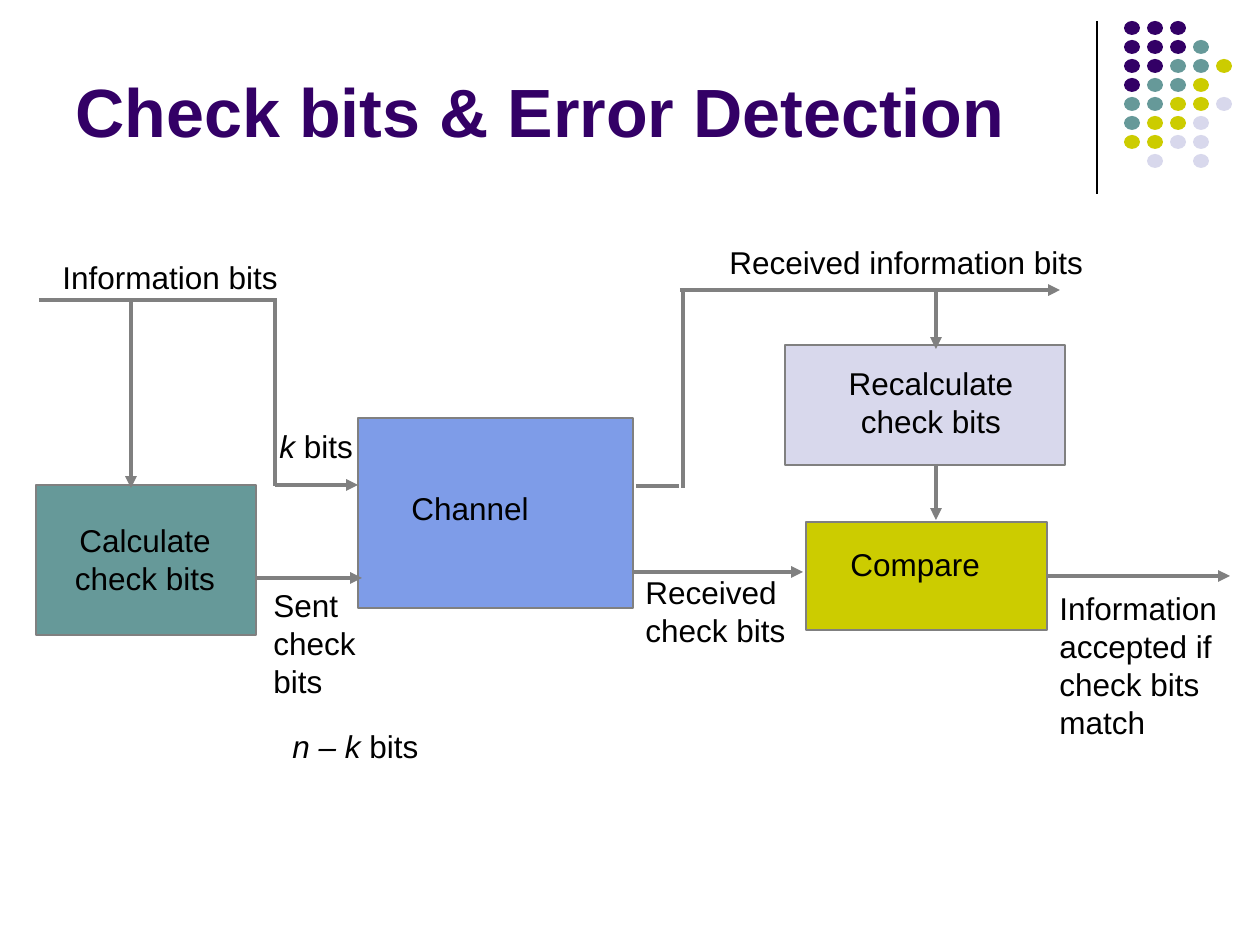
from dataclasses import dataclass
from typing import Any, NamedTuple, Optional

from pptx import Presentation, util as u
from pptx.dml.color import RGBColor
from pptx.enum import shapes, text
from pptx.oxml.ns import qn
from lxml import etree

EMU_PER_PX = 914400 / 126


@dataclass(frozen=True)
class Theme:
    font: str = "Arial"
    title_size: int = 39
    body_size: int = 18
    ink: str = "000000"
    purple: str = "330066"
    teal: str = "669999"
    olive: str = "CCCC00"
    lilac: str = "D8D8EC"
    blue: str = "7E9CE8"
    gray: str = "808080"


THEME = Theme()


class Box(NamedTuple):
    left: int
    top: int
    width: int
    height: int


@dataclass(frozen=True)
class Block:
    box: Box
    color: str


@dataclass(frozen=True)
class Label:
    box: Box
    paragraphs: tuple[str, ...]
    italic: str = ""  # leading run set in italics
    centered: bool = False
    wrap: bool = True


@dataclass(frozen=True)
class Wire:
    start: tuple[int, int]
    end: tuple[int, int]
    arrow: bool = False
    source: Optional[str] = None  # block whose right side the wire leaves


BLOCKS = {
    "calculate": Block(Box(36, 485, 220, 150), THEME.teal),
    "channel": Block(Box(358, 418, 275, 190), THEME.blue),
    "recalculate": Block(Box(785, 345, 280, 120), THEME.lilac),
    "compare": Block(Box(806, 522, 241, 108), THEME.olive),
}

LABELS = [
    Label(Box(34, 515, 222, 88), ("Calculate check bits",), centered=True),
    Label(Box(399, 483, 214, 50), ("Channel",)),
    Label(Box(814, 358, 234, 88), ("Recalculate check bits",), centered=True),
    Label(Box(838, 539, 188, 50), ("Compare",)),
    Label(Box(50, 252, 284, 50), ("Information bits",)),
    Label(Box(717, 237, 432, 50), ("Received information bits",)),
    Label(Box(261, 580, 127, 126), ("Sent check", "bits")),
    Label(Box(1047, 583, 233, 164), ("Information accepted if check bits match",)),
    Label(Box(633, 567, 197, 88), ("Received check bits",)),
    Label(Box(267, 421, 106, 50), (" bits",), italic="k", wrap=False),
    Label(Box(280, 721, 158, 50), (" bits",), italic="n – k", wrap=False),
]

WIRES = [
    Wire((39, 300), (277, 300)),
    Wire((131, 300), (131, 488), arrow=True),
    Wire((275, 300), (275, 486)),
    Wire((275, 485), (358, 485), arrow=True),
    Wire((256, 578), (362, 578), arrow=True),
    Wire((636, 486), (679, 486)),
    Wire((683, 488), (683, 290)),
    Wire((680, 290), (1060, 290), arrow=True),
    Wire((936, 291), (936, 349), arrow=True),
    Wire((936, 464), (936, 520), arrow=True),
    Wire((633, 572), (803, 572), arrow=True),
    Wire((1047, 576), (1230, 576), arrow=True, source="compare"),
]

DOT_ROWS = ["PPP", "PPPT", "PPTTO", "PTTO", "TTOOL", "TOOL", "OOLL", " L L"]
DOT_COLORS = {"P": THEME.purple, "T": THEME.teal, "O": THEME.olive, "L": THEME.lilac}
DOT_ORIGIN = (1124, 21)
DOT_PITCH = (23, 19)
DOT_SIZE = (16, 14)


def px(length: int) -> int:
    return round(length * EMU_PER_PX)


def rgb(color: str) -> RGBColor:
    return RGBColor.from_string(color)


def apply(target: Any, values: dict[str, Any]) -> None:
    for name, value in values.items():
        setattr(target, name, value)


def style_font(font: Any, size: int, color: str, **extra: Any) -> None:
    apply(font, {"name": THEME.font, "size": u.Pt(size), **extra})
    font.color.rgb = rgb(color)


def add_filled(slide: Any, kind: Any, box: Box, color: str, outline: Optional[str] = None) -> Any:
    shape = slide.shapes.add_shape(kind, *map(px, box))
    shape.shadow.inherit = False
    shape.fill.solid()
    shape.fill.fore_color.rgb = rgb(color)
    if outline:
        shape.line.color.rgb = rgb(outline)
        shape.line.width = u.Pt(1.5)
    else:
        shape.line.fill.background()
    return shape


def add_label(slide: Any, label: Label) -> None:
    frame = slide.shapes.add_textbox(*map(px, label.box)).text_frame
    apply(frame, {"word_wrap": label.wrap, "auto_size": text.MSO_AUTO_SIZE.SHAPE_TO_FIT_TEXT})
    for index, content in enumerate(label.paragraphs):
        paragraph = frame.add_paragraph() if index else frame.paragraphs[0]
        paragraph.alignment = text.PP_ALIGN.CENTER if label.centered else text.PP_ALIGN.LEFT
        for words, italic in ((label.italic, True), (content, False)):
            if words:
                run = paragraph.add_run()
                run.text = words
                style_font(run.font, THEME.body_size, THEME.ink, italic=italic)


def add_line(slide: Any, wire: Wire, color: str, width: float) -> Any:
    connector = slide.shapes.add_connector(
        shapes.MSO_CONNECTOR.STRAIGHT, *map(px, wire.start + wire.end))
    connector.line.color.rgb = rgb(color)
    connector.line.width = u.Pt(width)
    if wire.arrow:
        etree.SubElement(connector.line._get_or_add_ln(), qn("a:tailEnd"), type="triangle")
    etree.SubElement(connector._element.spPr, qn("a:effectLst"))
    return connector


def add_dots(slide: Any) -> None:
    for row, codes in enumerate(DOT_ROWS):
        for column, code in enumerate(codes):
            if code in DOT_COLORS:
                left = DOT_ORIGIN[0] + column * DOT_PITCH[0]
                top = DOT_ORIGIN[1] + row * DOT_PITCH[1]
                add_filled(slide, shapes.MSO_SHAPE.OVAL, Box(left, top, *DOT_SIZE), DOT_COLORS[code])


def set_title(slide: Any, words: str) -> None:
    title = slide.shapes.title
    apply(title, dict(zip(Box._fields, map(px, Box(63, 16, 1040, 141)))))
    frame = title.text_frame
    frame.text = words
    apply(frame, {"vertical_anchor": text.MSO_ANCHOR.BOTTOM, "word_wrap": True,
                  "auto_size": text.MSO_AUTO_SIZE.NONE})
    paragraph = frame.paragraphs[0]
    paragraph.alignment = text.PP_ALIGN.LEFT
    style_font(paragraph.runs[0].font, THEME.title_size, THEME.purple, bold=True)


def main() -> None:
    presentation = Presentation()
    apply(presentation, {"slide_width": px(1260), "slide_height": px(945)})
    slide = presentation.slides.add_slide(presentation.slide_layouts[5])
    set_title(slide, "Check bits & Error Detection")
    add_line(slide, Wire((1097, 21), (1097, 194)), THEME.ink, 0.75)
    add_dots(slide)
    blocks = {
        name: add_filled(slide, shapes.MSO_SHAPE.RECTANGLE, block.box, block.color, THEME.gray)
        for name, block in BLOCKS.items()
    }
    for wire in WIRES:
        connector = add_line(slide, wire, THEME.gray, 2.25)
        if wire.source:
            connector.begin_connect(blocks[wire.source], 3)
    for label in LABELS:
        add_label(slide, label)
    presentation.save("out.pptx")


if __name__ == "__main__":
    main()
